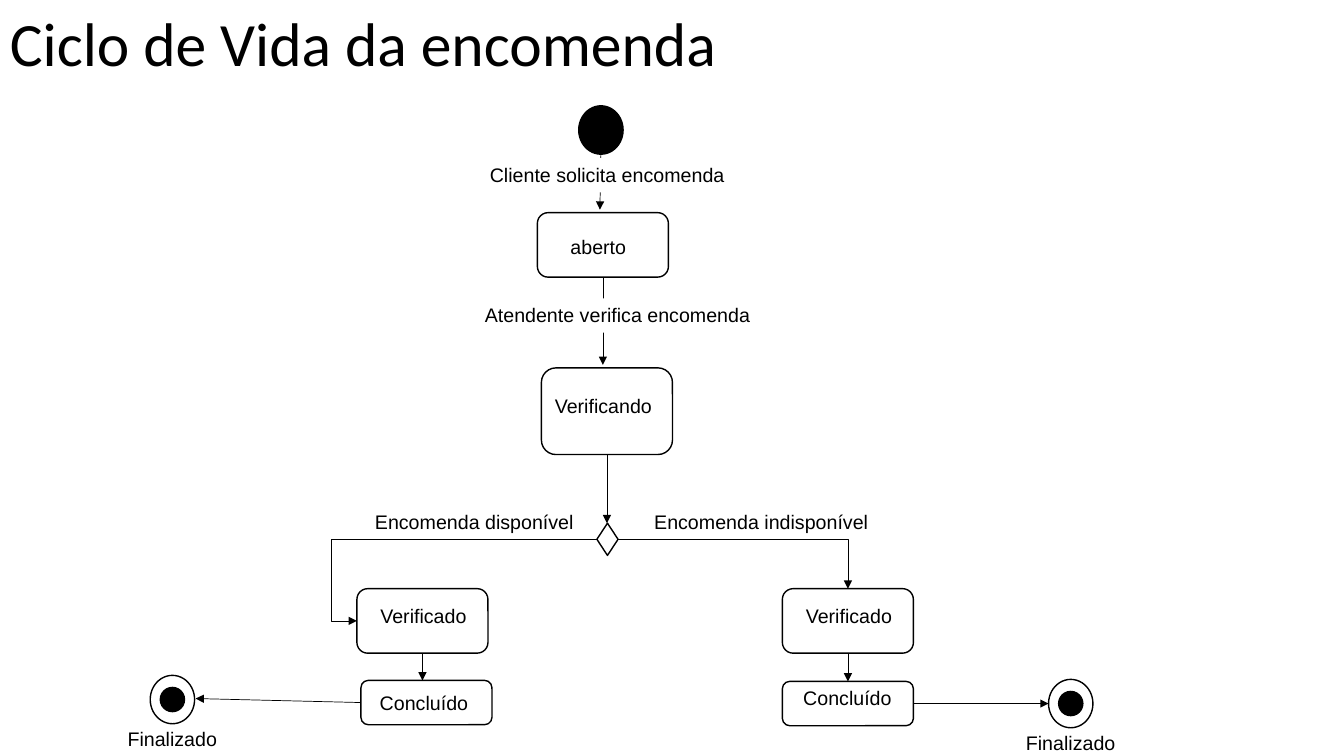
"""Build the order life cycle state diagram slide."""
from lxml import etree
from pptx import Presentation
from pptx.dml.color import RGBColor
from pptx.enum.shapes import MSO_CONNECTOR, MSO_SHAPE
from pptx.enum.text import MSO_ANCHOR, PP_ALIGN
from pptx.oxml.ns import qn
from pptx.util import Inches, Pt

OVAL, ROUNDED = MSO_SHAPE.OVAL, MSO_SHAPE.ROUNDED_RECTANGLE
DECISION = MSO_SHAPE.FLOWCHART_DECISION
STRAIGHT, ELBOW = MSO_CONNECTOR.STRAIGHT, MSO_CONNECTOR.ELBOW
LEFT, CENTER = PP_ALIGN.LEFT, PP_ALIGN.CENTER
TOP, MIDDLE = MSO_ANCHOR.TOP, MSO_ANCHOR.MIDDLE
BLACK, WHITE = "000000", "FFFFFF"
STATE_W, STATE_H, LABEL_H = 1.3, 0.64, 0.34


def color(value):
    return RGBColor.from_string(value)


def apply(target, **values):
    for name, value in values.items():
        setattr(target, name, value)


class Diagram:
    def __init__(self, slide):
        self.shapes = slide.shapes
        self.body = {"name": "Arial", "size": Pt(14)}
        self.heading = {"name": "Calibri", "size": Pt(44)}

    def fill(self, sp, value):
        if value:
            sp.fill.solid()
            sp.fill.fore_color.rgb = color(value)
        else:
            sp.fill.background()

    def outline(self, line, width):
        line.color.rgb = color(BLACK)
        line.width = Pt(width)

    def shape(self, kind, x, y, w, h, fill=None):
        sp = self.shapes.add_shape(kind, *map(Inches, (x, y, w, h)))
        sp.shadow.inherit = False
        self.fill(sp, fill)
        self.outline(sp.line, 1)

    def text(self, text, x, y, w, h=LABEL_H, align=CENTER, fill=None,
             font=None, wrap=True, anchor=TOP, spacing=1.0):
        sp = self.shapes.add_textbox(*map(Inches, (x, y, w, h)))
        self.fill(sp, fill)
        tf = sp.text_frame
        apply(tf, word_wrap=wrap, vertical_anchor=anchor)
        p = tf.paragraphs[0]
        apply(p, alignment=align, line_spacing=spacing)
        r = p.add_run()
        r.text = text
        apply(r.font, **(font or self.body))
        r.font.color.rgb = color(BLACK)

    def arrow(self, x1, y1, x2, y2, kind=STRAIGHT, preset=None, bend=None):
        sp = self.shapes.add_connector(kind, *map(Inches, (x1, y1, x2, y2)))
        self.outline(sp.line, 0.5)
        props = sp._element.spPr
        etree.SubElement(props.find(qn("a:ln")), qn("a:tailEnd"), type="triangle")
        etree.SubElement(props, qn("a:effectLst"))
        geom = props.find(qn("a:prstGeom"))
        if preset:
            geom.set("prst", preset)
        if bend:
            etree.SubElement(geom.find(qn("a:avLst")), qn("a:gd"),
                             name="adj1", fmla=f"val {round(bend * 100000)}")

    def state(self, x, y, h=STATE_H):
        self.shape(ROUNDED, x, y, STATE_W, h)

    def final(self, x, y, label_y):
        self.shape(OVAL, x, y, 0.44, 0.48, WHITE)
        self.shape(OVAL, x + 0.1, y + 0.12, 0.24, 0.24, BLACK)
        self.text("Finalizado", x - 0.66, label_y, 1.76)

    def branch(self, x, done_x, done_y, done_h, label_x, label_y):
        self.state(x, 5.84)
        self.text("Verificado", x + 0.1, 5.94, 1.12)
        self.state(done_x, done_y, done_h)
        self.text("Concluído", label_x, label_y, 1.85)
        self.arrow(x + STATE_W / 2, 5.84 + STATE_H, x + STATE_W / 2, done_y)


prs = Presentation()
prs.slide_width, prs.slide_height = Inches(13.33), Inches(7.5)
d = Diagram(prs.slides.add_slide(prs.slide_layouts[6]))

d.text("Ciclo de Vida da encomenda", 0, 0.12, 11.5, 0.68, LEFT,
       font=d.heading, anchor=MIDDLE, spacing=0.9)

d.shape(OVAL, 5.74, 1.05, 0.44, 0.48, BLACK)
d.arrow(5.96, 1.52, 5.95, 2.08)
d.text("Cliente solicita encomenda", 4.76, 1.57, 2.6, align=LEFT, fill=WHITE)
d.state(5.33, 2.11)
d.text("aberto", 5.56, 2.28, 0.77, align=LEFT)
d.arrow(5.98, 2.75, 5.98, 3.62)
d.text("Atendente verifica encomenda", 4.71, 2.96, 2.85, align=LEFT,
       fill=WHITE, wrap=False)
d.state(5.37, 3.65, 0.86)
d.text("Verificando", 5.06, 3.86, 1.85)
d.arrow(6.02, 4.51, 6.02, 5.19)

d.shape(DECISION, 5.92, 5.19, 0.21, 0.32)
d.text("Encomenda disponível", 3.62, 5.01, 2.18, align=LEFT, wrap=False)
d.text("Encomenda indisponível", 6.39, 5.01, 2.34, align=LEFT, wrap=False)
d.arrow(5.92, 5.35, 3.54, 6.16, ELBOW, bend=1.105)
d.arrow(6.13, 5.35, 8.41, 5.84, ELBOW, preset="bentConnector2")

d.branch(3.54, 3.58, 6.75, 0.44, 3.28, 6.81)
d.branch(7.76, 7.76, 6.76, 0.44, 7.48, 6.76)
d.final(1.49, 6.7, 7.16)
d.final(10.4, 6.74, 7.2)
d.arrow(3.58, 6.97, 1.94, 6.93)
d.arrow(9.06, 6.98, 10.4, 6.98)

prs.save("out.pptx")
